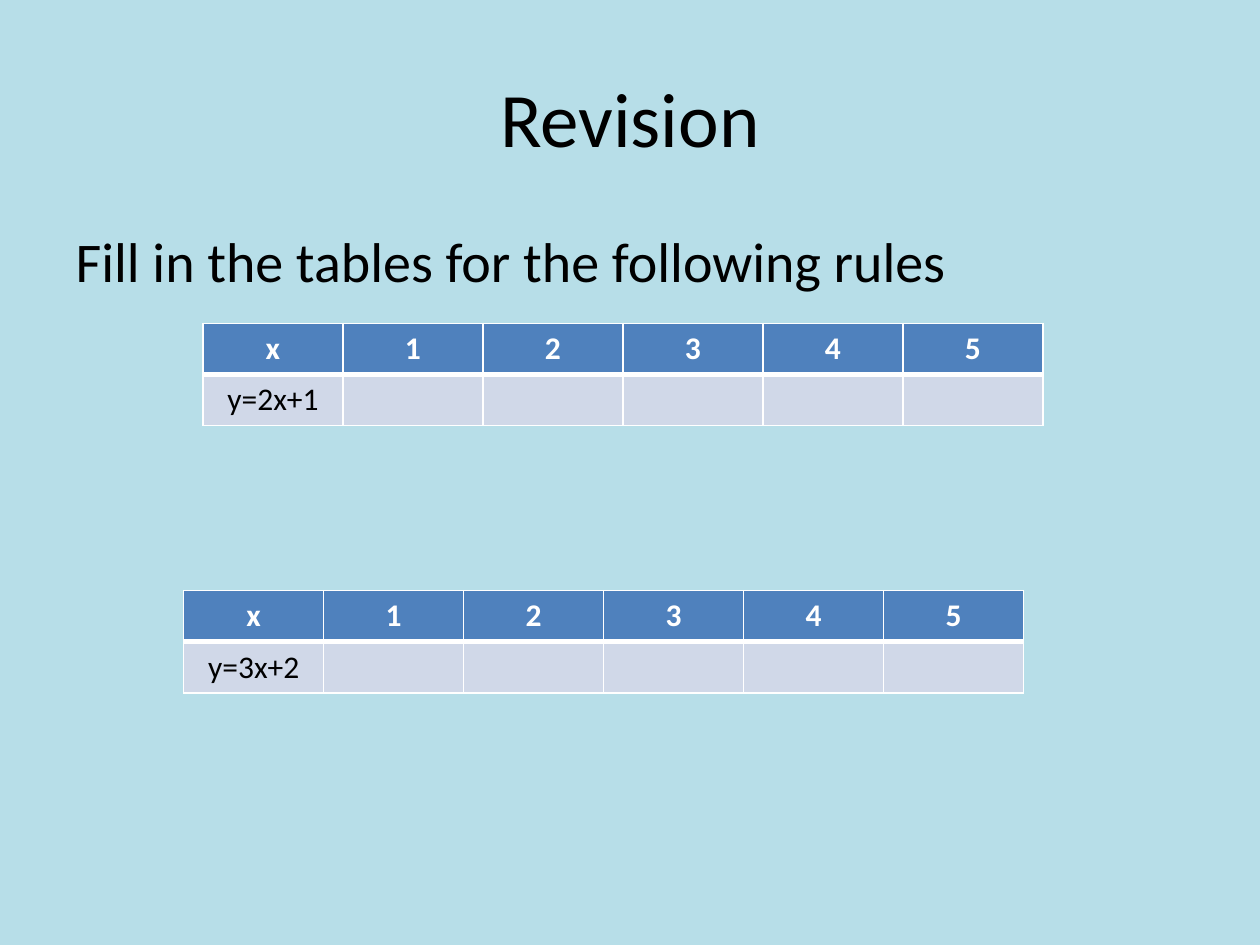
from lxml import etree
from pptx import Presentation
from pptx.dml.color import RGBColor
from pptx.enum.text import MSO_ANCHOR, PP_ALIGN
from pptx.oxml.ns import qn
from pptx.util import Pt

CENTER, LEFT = PP_ALIGN.CENTER, PP_ALIGN.LEFT
MIDDLE, TOP = MSO_ANCHOR.MIDDLE, MSO_ANCHOR.TOP

# Content
TITLE = "Revision"
TASK = "Fill in the tables for the following rules"
HEAD = ["x", "1", "2", "3", "4", "5"]
RULES = [("y=2x+1", 116, 184.75), ("y=3x+2", 105, 337.5)]  # rule, left, top

# Format
FONT = "Calibri"
COL_W, ROW_H = 80, 29.2
BLACK, WHITE = "000000", "FFFFFF"
HEAD_ROW = {"fill": "4F81BD", "color": WHITE, "bold": True,
            "edges": {"L": 1, "R": 1, "T": 1, "B": 3}}
RULE_ROW = {"fill": "D0D8E8", "color": BLACK, "bold": False,
            "edges": {"L": 1, "R": 1, "T": 3, "B": 1}}


def paint(fill, color):
    fill.solid()
    fill.fore_color.rgb = RGBColor.from_string(color)


def style(para, size, color, align, bold=False):
    para.alignment = align
    for name, value in {"name": FONT, "size": Pt(size), "bold": bold}.items():
        setattr(para.font, name, value)
    paint(para.font.fill, color)


def place(shape, box):
    for name, value in zip(("left", "top", "width", "height"), box):
        setattr(shape, name, Pt(value))


def fill_holder(shape, text, box, size, align, anchor):
    place(shape, box)
    frame = shape.text_frame
    frame.text = text
    frame.vertical_anchor = anchor
    para = frame.paragraphs[0]
    para.space_before = Pt(0)
    return para, size, BLACK, align


def edge(cell, widths):
    props = cell._tc.get_or_add_tcPr()
    for spot, (side, width) in enumerate(widths.items()):
        line = etree.Element(qn("a:ln" + side), w=str(Pt(width)))
        solid = etree.SubElement(line, qn("a:solidFill"))
        etree.SubElement(solid, qn("a:srgbClr"), val=WHITE)
        props.insert(spot, line)


def add_grid(slide, rule, left, top):
    rows = [(HEAD, HEAD_ROW), ([rule] + [""] * (len(HEAD) - 1), RULE_ROW)]
    grid = slide.shapes.add_table(
        len(rows), len(HEAD), Pt(left), Pt(top),
        Pt(COL_W * len(HEAD)), Pt(ROW_H * len(rows))).table
    for col in grid.columns:
        col.width = Pt(COL_W)
    for r, (texts, look) in enumerate(rows):
        grid.rows[r].height = Pt(ROW_H)
        for c, text in enumerate(texts):
            cell = grid.cell(r, c)
            cell.text = text
            style(cell.text_frame.paragraphs[0], 18, look["color"], CENTER, look["bold"])
            paint(cell.fill, look["fill"])
            edge(cell, look["edges"])


def main():
    deck = Presentation()
    deck.slide_width, deck.slide_height = Pt(720), Pt(540)
    slide = deck.slides.add_slide(deck.slide_layouts[1])
    paint(slide.background.fill, "B7DEE8")

    # Title and task
    title, body = slide.placeholders
    style(*fill_holder(title, TITLE, (36, 21.6, 648, 90), 44, CENTER, MIDDLE))
    task = fill_holder(body, TASK, (36, 126, 648, 356.4), 32, LEFT, TOP)
    props = task[0]._p.get_or_add_pPr()
    props.set("marL", "0")
    props.set("indent", "0")
    etree.SubElement(props, qn("a:buNone"))
    style(*task)

    # Tables
    for rule in RULES:
        add_grid(slide, *rule)

    deck.save("out.pptx")


if __name__ == "__main__":
    main()
